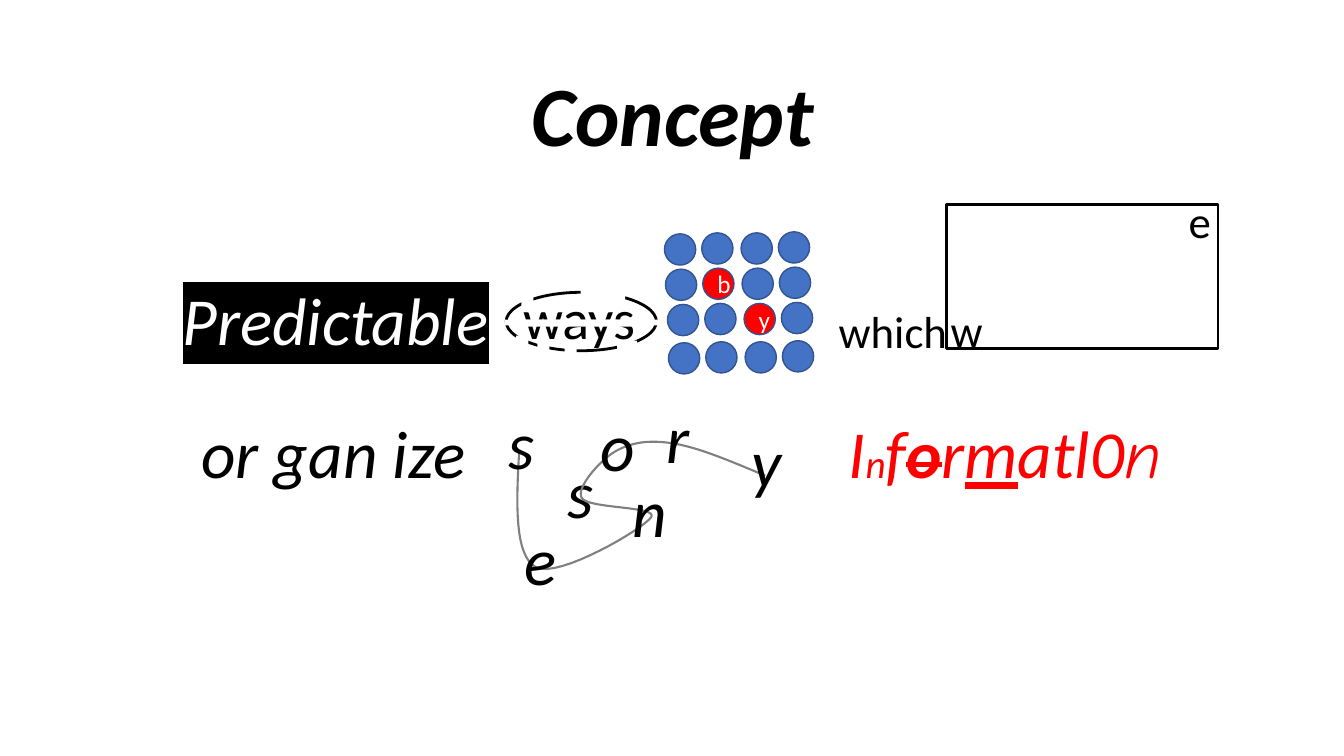
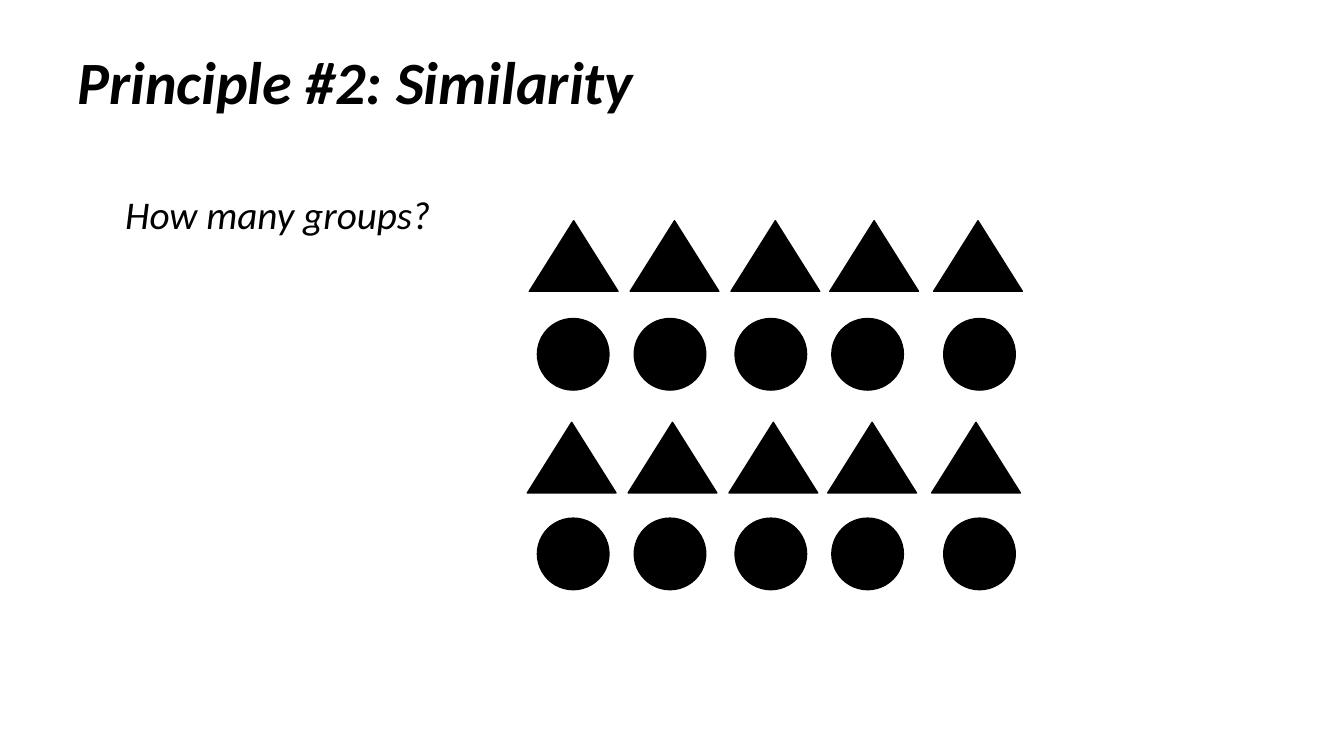
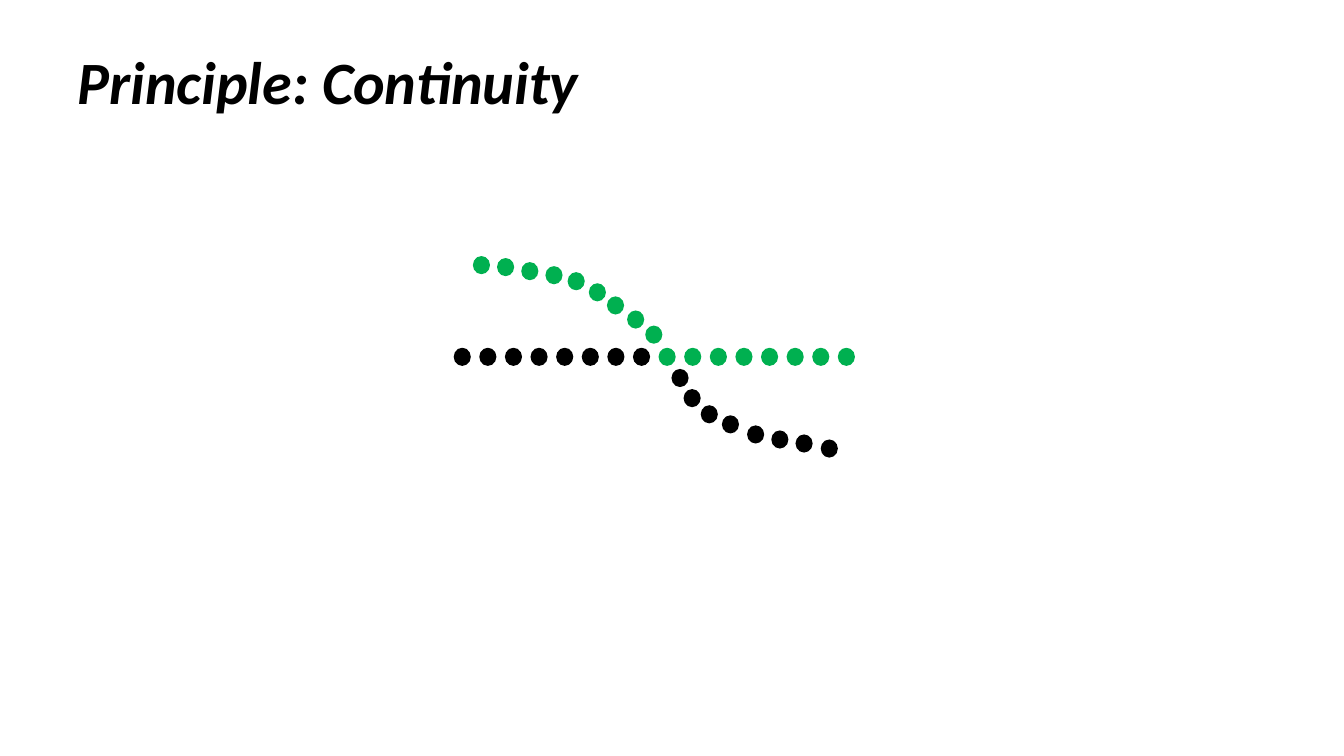
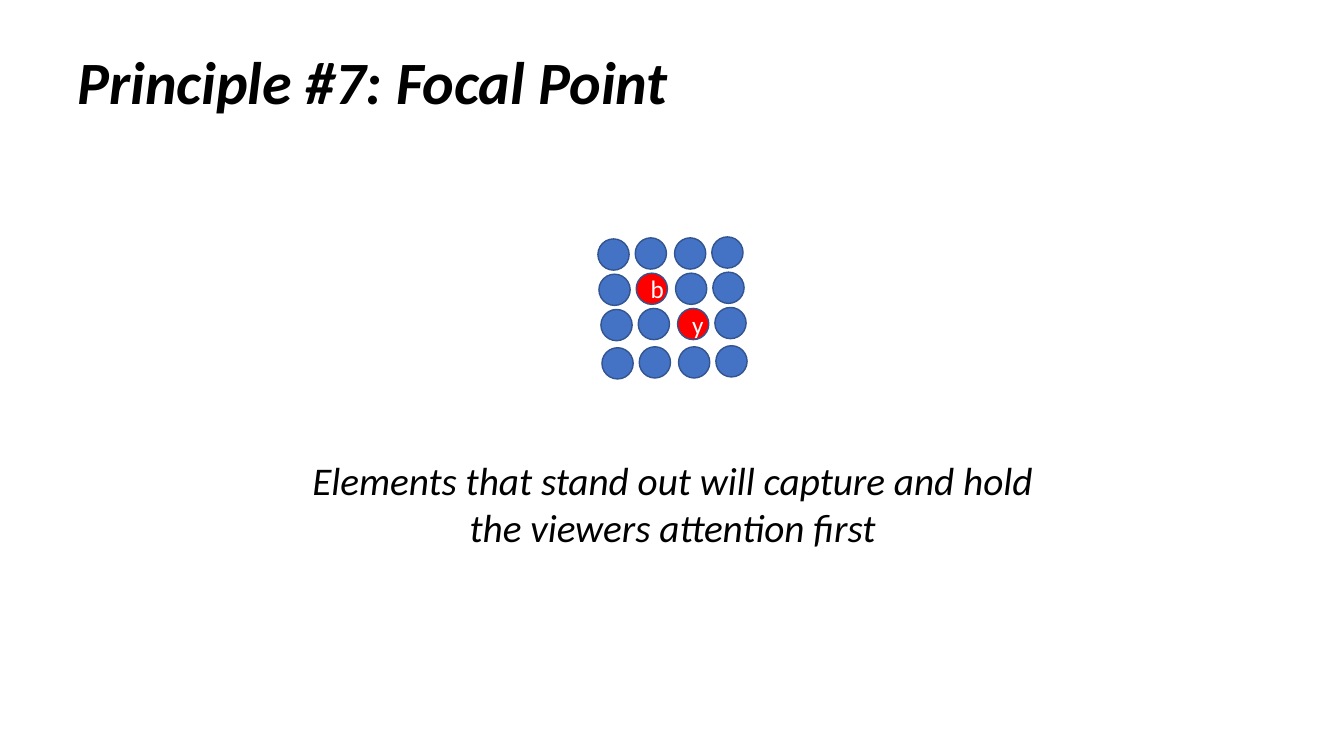
from dataclasses import dataclass

from lxml import etree
from pptx import Presentation
from pptx.dml.color import RGBColor
from pptx.enum.shapes import MSO_SHAPE
from pptx.enum.text import MSO_ANCHOR, PP_ALIGN
from pptx.oxml.ns import qn
from pptx.util import Inches, Pt

RECT = MSO_SHAPE.RECTANGLE
OVAL = MSO_SHAPE.OVAL
PEAK = MSO_SHAPE.ISOSCELES_TRIANGLE
LEFT, CENTER = PP_ALIGN.LEFT, PP_ALIGN.CENTER
TOP, MIDDLE, BOTTOM = MSO_ANCHOR.TOP, MSO_ANCHOR.MIDDLE, MSO_ANCHOR.BOTTOM


@dataclass(frozen=True)
class Theme:
    font: str = "Calibri"
    comic: str = "Comic Neue"
    black: str = "000000"
    white: str = "FFFFFF"
    red: str = "FF0000"
    blue: str = "4472C4"
    navy: str = "325491"
    green: str = "00B050"
    gray: str = "808080"
    cover: float = 60.3
    title: float = 42.9
    word: float = 48
    ways: float = 40
    plain: float = 32
    body: float = 28
    mark: float = 18


T = Theme()


def rgb(code):
    return RGBColor.from_string(code)


def style(run, size, color, font=T.font, bold=False, italic=False,
          under=False, strike=False, back=None):
    face = run.font
    face.size, face.bold, face.italic = Pt(size), bold, italic
    face.underline = under
    face.color.rgb = rgb(color)
    props = run._r.get_or_add_rPr()
    if strike:
        props.set("strike", "sngStrike")
    if back:
        light = etree.SubElement(props, qn("a:highlight"))
        etree.SubElement(light, qn("a:srgbClr")).set("val", back)
    face.name = font


def write(frame, words, size=T.word, color=T.black, align=LEFT,
          anchor=TOP, gap=None, **form):
    frame.word_wrap = True
    frame.vertical_anchor = anchor
    para = frame.paragraphs[0]
    para.alignment = align
    if gap:
        para.line_spacing = gap
    parts = [(words, {})] if isinstance(words, str) else words
    for part, extra in parts:
        run = para.add_run()
        run.text = part
        style(run, **{"size": size, "color": color, **form, **extra})


def text(shapes, box, words, **form):
    area = shapes.add_textbox(*map(Inches, box))
    write(area.text_frame, words, **form)


def word(shapes, box, words, **form):
    text(shapes, box, words, align=CENTER, gap=0.8, italic=True, **form)


def paint(shape, fill, line, width):
    shape.shadow.inherit = False
    if fill:
        shape.fill.solid()
        shape.fill.fore_color.rgb = rgb(fill)
    else:
        shape.fill.background()
    if line:
        shape.line.color.rgb = rgb(line)
        shape.line.width = Pt(width)
    else:
        shape.line.fill.background()


def draw(shapes, kind, box, fill=None, line=None, width=1):
    shape = shapes.add_shape(kind, *map(Inches, box))
    paint(shape, fill, line, width)
    return shape


def title(slide, words):
    text(slide.shapes, (0.67, 0.21, 9.09, 1), words, size=T.title,
         anchor=BOTTOM, gap=0.9, bold=True, italic=True)


def focus(slide, x, y):
    shapes = slide.shapes.add_group_shape().shapes
    marks = {(1, 1): "b", (2, 2): "y"}
    cols = ((0, 0.01), (0.37, 0), (0.76, 0), (1.13, -0.01))
    rows = ((0, 0), (0.01, 0.35), (0.03, 0.7), (0.04, 1.08))
    for row, (shift, down) in enumerate(rows):
        for col, (right, drop) in enumerate(cols):
            mark = marks.get((row, col))
            box = (x + right + shift, y + down + drop, 0.31, 0.31)
            dot = draw(shapes, OVAL, box, T.red if mark else T.blue, T.navy)
            if mark:
                write(dot.text_frame, mark, size=T.mark, color=T.white,
                      align=CENTER, anchor=MIDDLE)


def curve(start, bends, steps=16):
    points = [start]
    for one, two, end in bends:
        first = points[-1]
        for step in range(1, steps + 1):
            t = step / steps
            u = 1 - t
            points.append(tuple(
                u**3 * a + 3 * u * u * t * b + 3 * u * t * t * c + t**3 * d
                for a, b, c, d in zip(first, one, two, end)))
    return points


def thread(slide, x, y):
    shapes = slide.shapes.add_group_shape().shapes
    bends = (
        ((0.21, 0.95), (0.19, 1.48), (0.41, 1.59)),
        ((0.63, 1.7), (1.47, 1.21), (1.55, 1.09)),
        ((1.62, 0.98), (0.92, 1.01), (0.86, 0.9)),
        ((0.8, 0.8), (1.04, 0.53), (1.19, 0.44)),
        ((1.35, 0.35), (1.52, 0.32), (1.77, 0.36)),
        ((2.02, 0.4), (2.35, 0.54), (2.68, 0.68)),
    )
    points = [(Inches(x + a), Inches(y + b))
              for a, b in curve((0.24, 0.43), bends)]
    pen = shapes.build_freeform(*points[0])
    pen.add_line_segments(points[1:], close=False)
    paint(pen.convert_to_shape(), None, T.gray, 1.5)
    spots = (("s", 0, 0.06), ("e", 0.19, 1.21), ("n", 1.26, 0.73),
             ("o", 0.95, 0.08), ("r", 1.55, 0), ("y", 2.43, 0.24))
    for mark, right, down in spots:
        word(shapes, (x + right, y + down, 0.52, 0.79), mark)


def frame(slide, x, y):
    shapes = slide.shapes
    text(shapes, (x, y + 1.09, 1.49, 0.64), "which", size=T.plain)
    text(shapes, (x + 1.11, y + 1.08, 0.64, 0.64), "w", size=T.plain)
    text(shapes, (x + 3.47, y, 0.64, 0.64), "e", size=T.plain)
    draw(shapes, RECT, (x + 1.17, y + 0.16, 2.69, 1.43), line=T.black, width=2)


def ways(slide, x, y):
    shapes = slide.shapes
    text(shapes, (x + 0.08, y, 1.64, 0.77), "ways", size=T.ways)
    draw(shapes, OVAL, (x + 0.01, y + 0.14, 1.49, 0.58), line=T.black, width=2)
    breaks = ((0.18, 0.41, 1.18, 0.07), (0.16, 0.13, 0.12, 0.2),
              (0.11, 0.57, 0.12, 0.15), (0.59, 0.63, 0.12, 0.15),
              (1.11, 0.62, 0.2, 0.15), (0.75, 0.11, 0.44, 0.14),
              (0, 0.41, 1.54, 0.06), (0.32, 0.63, 0.12, 0.15))
    for right, down, wide, high in breaks:
        draw(shapes, RECT, (x + right, y + down, wide, high), T.white)


def concept(slide):
    shapes = slide.shapes
    word(shapes, (1.58, 2.87, 3.5, 0.79), "Predictable",
         color=T.white, back=T.black)
    frame(slide, 8.22, 1.87)
    word(shapes, (1.56, 4.19, 3.5, 0.79), "or gan ize")
    info = (("I", {}), ("n", {"size": T.body}), ("f", {}),
            ("o", {"bold": True, "strike": True}), ("r", {}),
            ("m", {"under": True}), ("atl0", {}), ("n", {"font": T.comic}))
    word(shapes, (8.22, 4.19, 3.5, 0.79), info, color=T.red)
    word(shapes, (5.5, 4.58, 0.52, 0.79), "s")
    thread(slide, 4.91, 4.04)
    ways(slide, 5.01, 2.76)
    focus(slide, 6.59, 2.31)
    text(shapes, (1.67, 0.68, 10, 1), "Concept", size=T.cover, align=CENTER,
         anchor=BOTTOM, gap=0.9, bold=True, italic=True)


def line(slide, kind, x, y, steps, wide, high):
    shapes = slide.shapes.add_group_shape().shapes
    for step in steps:
        draw(shapes, kind, (x + step, y, wide, high), T.black, T.black)


def alike(slide):
    title(slide, "Principle #2: Similarity")
    text(slide.shapes, (1.1, 1.84, 3.31, 0.57), "How many groups?",
         size=T.body, align=CENTER, italic=True)
    peaks = (0, 1, 2, 2.98, 4.01)
    balls = (0, 0.96, 1.96, 2.92, 4.03)
    for x, y in ((5.25, 2.19), (5.23, 4.19)):
        line(slide, PEAK, x, y, peaks, 0.88, 0.7)
    for y in (3.16, 5.14):
        line(slide, OVAL, 5.33, y, balls, 0.71, 0.71)


def trail(slide, x, y):
    count, pitch = 16, 0.254
    level = [(pitch * i, 0.91) for i in range(count)]
    fall = ((0.19, 0), (0.43, 0.02), (0.67, 0.06), (0.91, 0.1), (1.13, 0.16),
            (1.34, 0.27), (1.52, 0.4), (1.72, 0.54), (1.9, 0.69))
    tail = ((2.16, 1.12), (2.28, 1.32), (2.45, 1.48), (2.66, 1.58),
            (2.91, 1.68), (3.15, 1.73), (3.39, 1.77), (3.64, 1.82))
    half = count // 2
    paths = ((T.black, (*level[:half], *tail)),
             (T.green, (*fall, *level[half:])))
    for color, points in paths:
        for right, down in points:
            draw(slide.shapes, OVAL, (x + right, y + down, 0.17, 0.18), color)


def flow(slide):
    title(slide, "Principle: Continuity")
    trail(slide, 4.5, 2.54)


def point(slide):
    title(slide, "Principle #7: Focal Point")
    focus(slide, 5.93, 2.36)
    text(slide.shapes, (2.82, 4.48, 7.7, 1.04),
         "Elements that stand out will capture and hold "
         "the viewers attention first",
         size=T.body, align=CENTER, italic=True)


def main():
    deck = Presentation()
    deck.slide_width, deck.slide_height = Inches(13.33), Inches(7.5)
    for build in (concept, alike, flow, point):
        build(deck.slides.add_slide(deck.slide_layouts[6]))
    deck.save("out.pptx")


if __name__ == "__main__":
    main()
